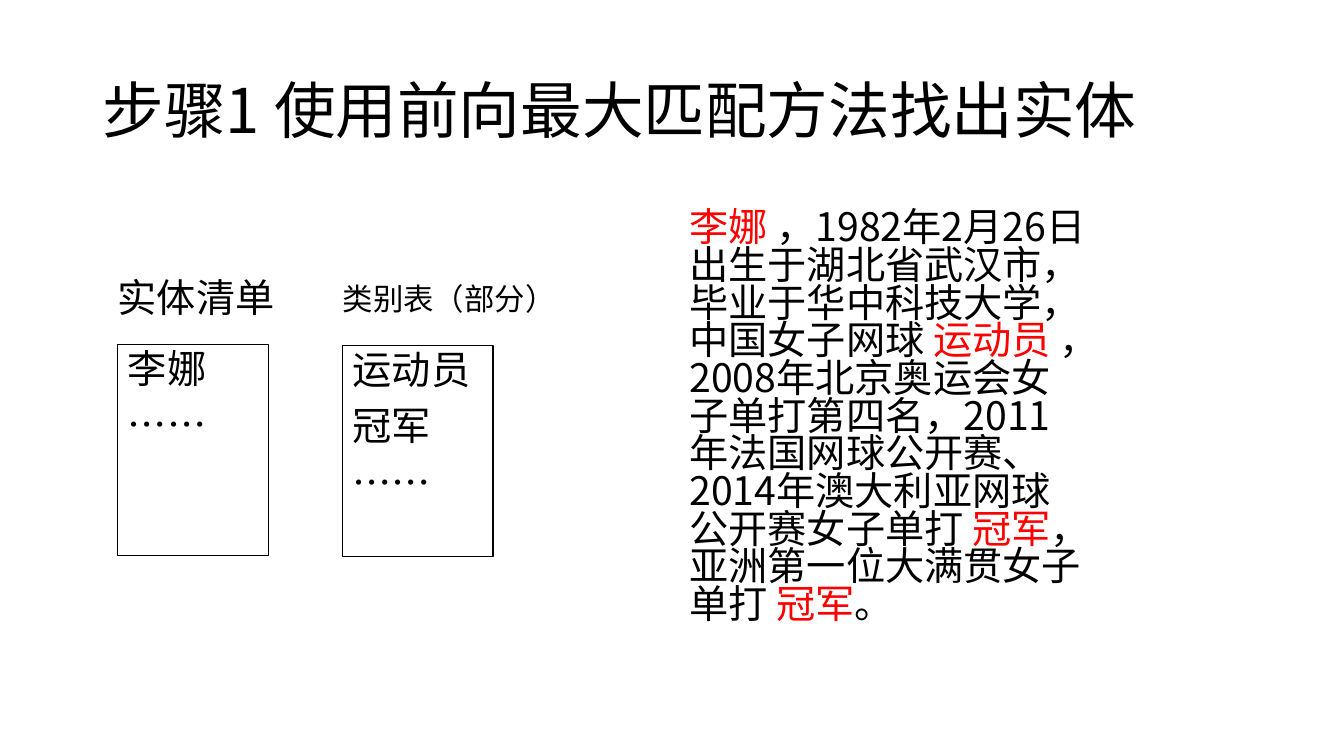
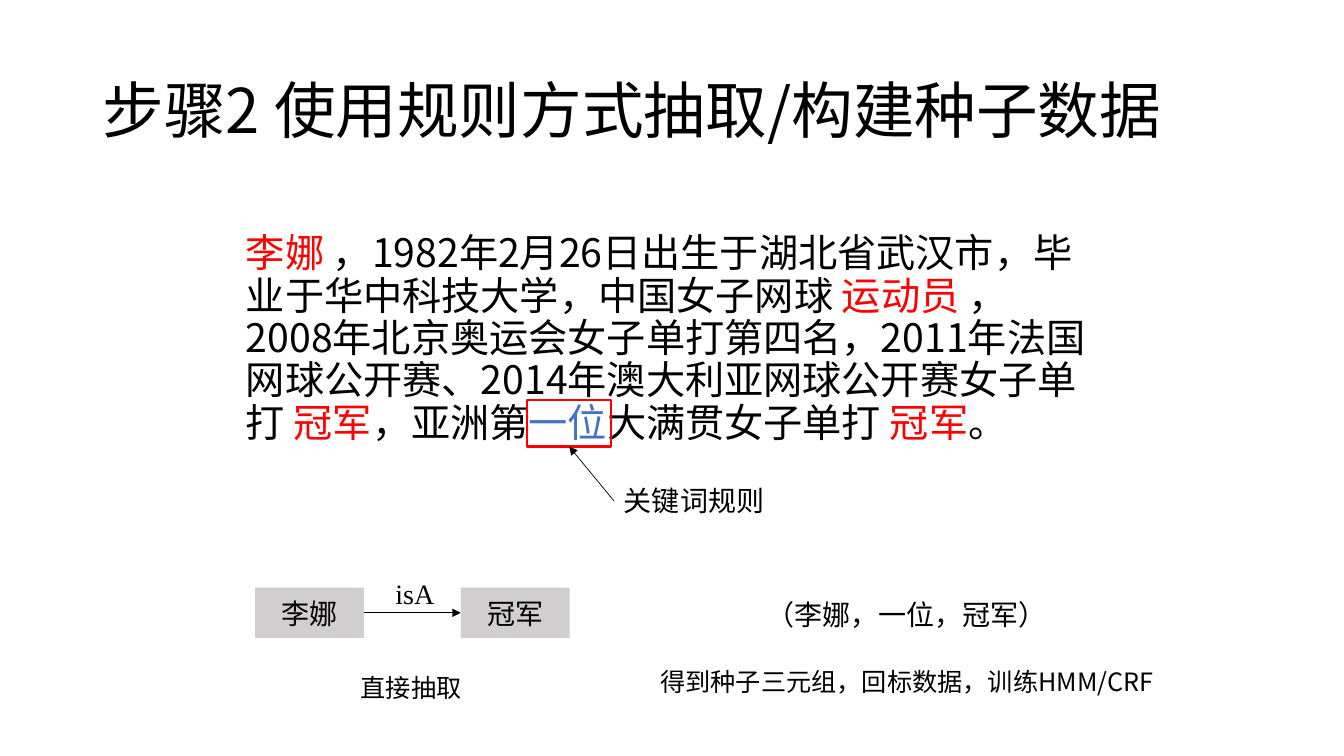
from lxml import etree
from pptx import Presentation
from pptx import util as u
from pptx.dml.color import RGBColor
from pptx.enum import shapes, text
from pptx.oxml.ns import qn

PX = 9144
SANS = "Noto Sans CJK SC"
COLOURS = {"ink": "000000", "entity": "FF0000", "keyword": "4472C4", "node": "D0CECE"}
BIOGRAPHY = [
    ("李娜", "entity"),
    (" ，1982年2月26日出生于湖北省武汉市，毕业于华中科技大学，中国女子网球 ", "ink"),
    ("运动员", "entity"),
    (" ，2008年北京奥运会女子单打第四名，2011年法国网球公开赛、2014年澳大利亚网球公开赛女子单打 ", "ink"),
    ("冠军", "entity"),
    ("，亚洲第", "ink"),
    ("一位", "keyword"),
    ("大满贯女子单打 ", "ink"),
    ("冠军", "entity"),
    ("。", "ink"),
]


def px(*lengths):
    """Turn px lengths into EMU."""
    return [u.Emu(length * PX) for length in lengths]


def colour(name):
    """Look up a palette colour."""
    return RGBColor.from_string(COLOURS[name])


def style(para, size, font=SANS, spacing=None, centred=False):
    """Set the font, line spacing and alignment of a paragraph."""
    para.line_spacing = spacing
    para.alignment = text.PP_ALIGN.CENTER if centred else text.PP_ALIGN.LEFT
    para.font.size = u.Pt(size)
    para.font.name = font
    para.font.color.rgb = colour("ink")
    latin = para.font._element.find(qn("a:latin"))
    east_asian = etree.Element(qn("a:ea"), typeface=SANS)
    latin.addnext(east_asian)


def write(shape, lines, size, middle=False, wrap=True, **look):
    """Fill a shape with one paragraph for each line."""
    frame = shape.text_frame
    frame.word_wrap = wrap
    frame.vertical_anchor = text.MSO_ANCHOR.MIDDLE if middle else text.MSO_ANCHOR.TOP
    for index, line in enumerate(lines):
        para = frame.paragraphs[0] if index == 0 else frame.add_paragraph()
        if index:
            para.space_before = u.Pt(10)
        para.text = line
        style(para, size, **look)


def add_text(page, box, line, size, **look):
    """Add a text box with a single paragraph."""
    label = page.shapes.add_textbox(*px(*box))
    write(label, [line], size, **look)
    return label


def add_box(page, box, fill=None, line=None, width=0.75):
    """Add a rectangle with an optional fill and outline."""
    shape = page.shapes.add_shape(shapes.MSO_SHAPE.RECTANGLE, *px(*box))
    shape.shadow.inherit = False
    if fill:
        shape.fill.solid()
        shape.fill.fore_color.rgb = colour(fill)
    else:
        shape.fill.background()
    if line:
        shape.line.color.rgb = colour(line)
        shape.line.width = u.Pt(width)
    else:
        shape.line.fill.background()
    return shape


def add_arrow(page, start, end, width):
    """Add a straight arrow."""
    arrow = page.shapes.add_connector(shapes.MSO_CONNECTOR.STRAIGHT, *px(*start, *end))
    arrow.line.color.rgb = colour("ink")
    arrow.line.width = u.Pt(width)
    etree.SubElement(arrow.line._get_or_add_ln(), qn("a:tailEnd"), type="triangle")
    etree.SubElement(arrow._element.spPr, qn("a:effectLst"))
    return arrow


def add_page(deck, title):
    """Add a blank page with the shared title."""
    page = deck.slides.add_slide(deck.slide_layouts[6])
    add_text(page, (92, 40, 1150, 145), title, 44, middle=True, spacing=0.9)
    return page


def add_biography(page, box, spacing, plain=()):
    """Add the biography, with the roles in plain left in ink."""
    frame = page.shapes.add_textbox(*px(*box)).text_frame
    frame.word_wrap = True
    para = frame.paragraphs[0]
    style(para, 28, spacing=spacing)
    for words, role in BIOGRAPHY:
        span = para.add_run()
        span.text = words
        span.font.color.rgb = colour("ink" if role in plain else role)


def add_list(page, left, top, heading, heading_width, heading_size, entries):
    """Add a one-line heading above a framed list."""
    frame = add_box(page, (left + 10, top + 74, 149, 209), line="ink")
    write(frame, entries, 28, spacing=0.9)
    add_text(page, (left, top, heading_width, 59), heading, heading_size, middle=True, spacing=0.9)


def add_relation(page, left, top):
    """Add two entity nodes joined by a relation arrow, with a caption."""
    width, height, pitch = 108, 50, 204
    nodes = []
    for index, name in enumerate(("李娜", "冠军")):
        node = add_box(page, (left + index * pitch, top, width, height), fill="node")
        write(node, [name], 20, font="Arial", middle=True, wrap=False, centred=True)
        nodes.append(node)
    middle = top + height // 2
    arrow = add_arrow(page, (left + width, middle), (left + pitch, middle), 0.75)
    arrow.begin_connect(nodes[0], 3)
    arrow.end_connect(nodes[1], 1)
    add_text(page, (left + 125, top - 16, 67, 43), "isA", 20, font="Times New Roman", centred=True)
    add_text(page, (left + 95, top + 79, 121, 40), "直接抽取", 18, wrap=False)


def add_keyword_rule(page, left, top):
    """Frame the keyword and point at it from its label."""
    frame = add_box(page, (left, top, 83, 46), line="entity", width=1.5)
    arrow = add_arrow(page, (left + 86, top + 100), (left + 42, top + 46), 0.5)
    arrow.end_connect(frame, 2)
    add_text(page, (left + 86, top + 78, 160, 44), "关键词规则", 20, wrap=False)


def add_triple(page, left, top):
    """Add the seed triple and the note under it."""
    add_text(page, (left + 105, top, 301, 44), "（李娜，一位，冠军）", 20, wrap=False)
    add_text(page, (left, top + 68, 512, 40), "得到种子三元组，回标数据，训练HMM/CRF", 18)


def build_matching(deck):
    """Build the page on finding entities."""
    page = add_page(deck, "步骤1 使用前向最大匹配方法找出实体")
    add_biography(page, (674, 205, 415, 459), 0.8, plain=("keyword",))
    add_list(page, 107, 268, "实体清单", 178, 28, ["李娜", "……"])
    add_list(page, 330, 269, "类别表（部分）", 250, 21.7, ["运动员", "冠军", "……"])


def build_extraction(deck):
    """Build the page on extracting seed data."""
    page = add_page(deck, "步骤2 使用规则方式抽取/构建种子数据")
    add_biography(page, (234, 227, 855, 239), 0.9)
    add_keyword_rule(page, 523, 397)
    add_relation(page, 253, 583)
    add_triple(page, 645, 588)


def main():
    """Build and save the deck."""
    deck = Presentation()
    deck.slide_width, deck.slide_height = px(1333, 750)
    build_matching(deck)
    build_extraction(deck)
    deck.save("out.pptx")


if __name__ == "__main__":
    main()
